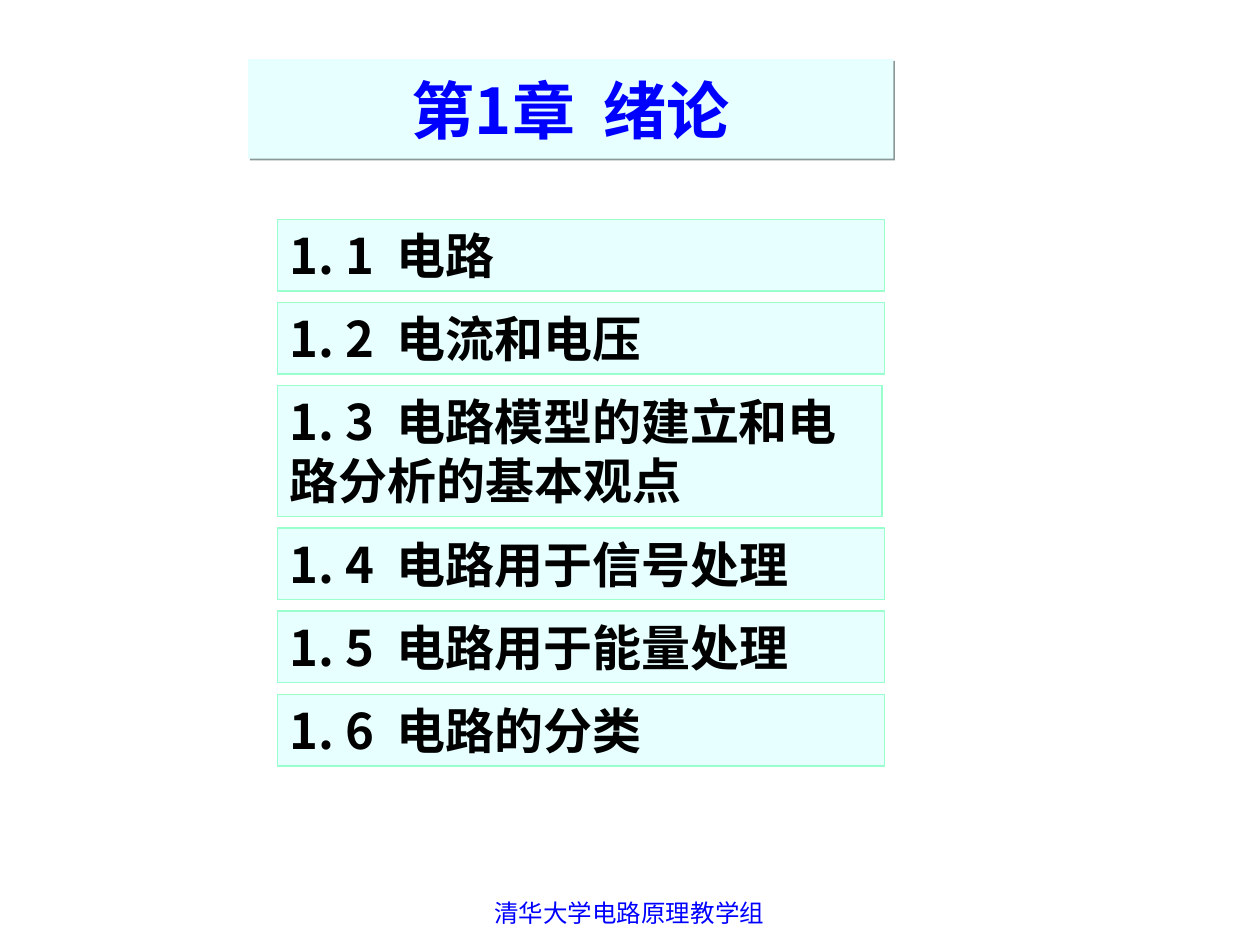
from dataclasses import dataclass

from lxml import etree
from pptx import Presentation
from pptx import util as u
from pptx.dml.color import RGBColor
from pptx.enum import shapes, text
from pptx.oxml.ns import qn


@dataclass(frozen=True)
class Theme:
    panel: str = "E7FFFF"
    border: str = "99FFCC"
    shadow: str = "8A9898"
    accent: str = "0000FF"
    ink: str = "000000"
    heading_font: str = "Noto Sans CJK SC"
    footer_font: str = "Arial"
    title_size: int = 36
    item_size: int = 28
    footer_size: int = 14


THEME = Theme()
ITEM_LEFT, ITEM_TOP, ITEM_GAP = 2.2, 1.74, 0.09
ONE_LINE, TWO_LINES = (4.82, 0.57), (4.8, 1.04)  # width, height
SECTIONS = [
    ("1. 1  电路", ONE_LINE),
    ("1. 2  电流和电压", ONE_LINE),
    ("1. 3  电路模型的建立和电路分析的基本观点", TWO_LINES),
    ("1. 4  电路用于信号处理", ONE_LINE),
    ("1. 5  电路用于能量处理", ONE_LINE),
    ("1. 6  电路的分类", ONE_LINE),
]


def set_all(target, values):
    for name, value in values.items():
        setattr(target, name, value)


def write(sp, words, font, size, color, bold, align, anchor):
    tf = sp.text_frame
    set_all(tf, {"word_wrap": True, "vertical_anchor": anchor})
    p = tf.paragraphs[0]
    p.alignment = align
    r = p.add_run()
    r.text = words
    set_all(r.font, {"name": font, "size": u.Pt(size), "bold": bold})
    r.font.color.rgb = RGBColor.from_string(color)
    # Chinese characters take the East Asian typeface
    etree.SubElement(r.font._element, qn("a:ea"), typeface=font)
    return p


def add_panel(s, left, top, width, height):
    sp = s.shapes.add_shape(shapes.MSO_SHAPE.RECTANGLE, u.Inches(left),
                            u.Inches(top), u.Inches(width), u.Inches(height))
    sp.shadow.inherit = False
    sp.fill.solid()
    sp.fill.fore_color.rgb = RGBColor.from_string(THEME.panel)
    return sp


def add_hard_shadow(sp, color, distance):
    effects = sp._element.spPr.find(qn("a:effectLst"))
    shadow = etree.SubElement(effects, qn("a:outerShdw"), blurRad="0",
                              dist=str(u.Pt(distance)), dir=str(45 * 60000),
                              algn="ctr", rotWithShape="0")
    etree.SubElement(shadow, qn("a:srgbClr"), val=color)


def add_title(s, words):
    sp = add_panel(s, 1.97, 0.47, 5.12, 0.79)
    sp.line.fill.background()
    add_hard_shadow(sp, THEME.shadow, 1.4)
    write(sp, words, THEME.heading_font, THEME.title_size, THEME.accent, True,
          text.PP_ALIGN.CENTER, text.MSO_ANCHOR.MIDDLE)


def add_section(s, words, top, size):
    sp = add_panel(s, ITEM_LEFT, top, *size)
    sp.line.color.rgb = RGBColor.from_string(THEME.border)
    sp.line.width = u.Pt(0.75)
    p = write(sp, words, THEME.heading_font, THEME.item_size, THEME.ink, True,
              text.PP_ALIGN.LEFT, text.MSO_ANCHOR.TOP)
    sp.text_frame.auto_size = text.MSO_AUTO_SIZE.SHAPE_TO_FIT_TEXT
    if size == TWO_LINES:  # hanging indent for the wrapped line
        set_all(p._p.get_or_add_pPr(),
                {"marL": u.Inches(0.75), "indent": u.Inches(-0.75)})


def add_footer(s, words):
    sp = s.shapes.add_textbox(u.Inches(3.41), u.Inches(7.08),
                              u.Inches(3.17), u.Inches(0.27))
    write(sp, words, THEME.footer_font, THEME.footer_size, THEME.accent, False,
          text.PP_ALIGN.CENTER, text.MSO_ANCHOR.TOP)


def main():
    prs = Presentation()
    set_all(prs, {"slide_width": u.Inches(10), "slide_height": u.Inches(7.5)})
    s = prs.slides.add_slide(prs.slide_layouts[6])

    # Chapter heading
    add_title(s, "第1章  绪论")

    # Section list, stacked with equal gaps
    top = ITEM_TOP
    for words, size in SECTIONS:
        add_section(s, words, top, size)
        top += size[1] + ITEM_GAP

    # Footer
    add_footer(s, "清华大学电路原理教学组")
    prs.save("out.pptx")


if __name__ == "__main__":
    main()
